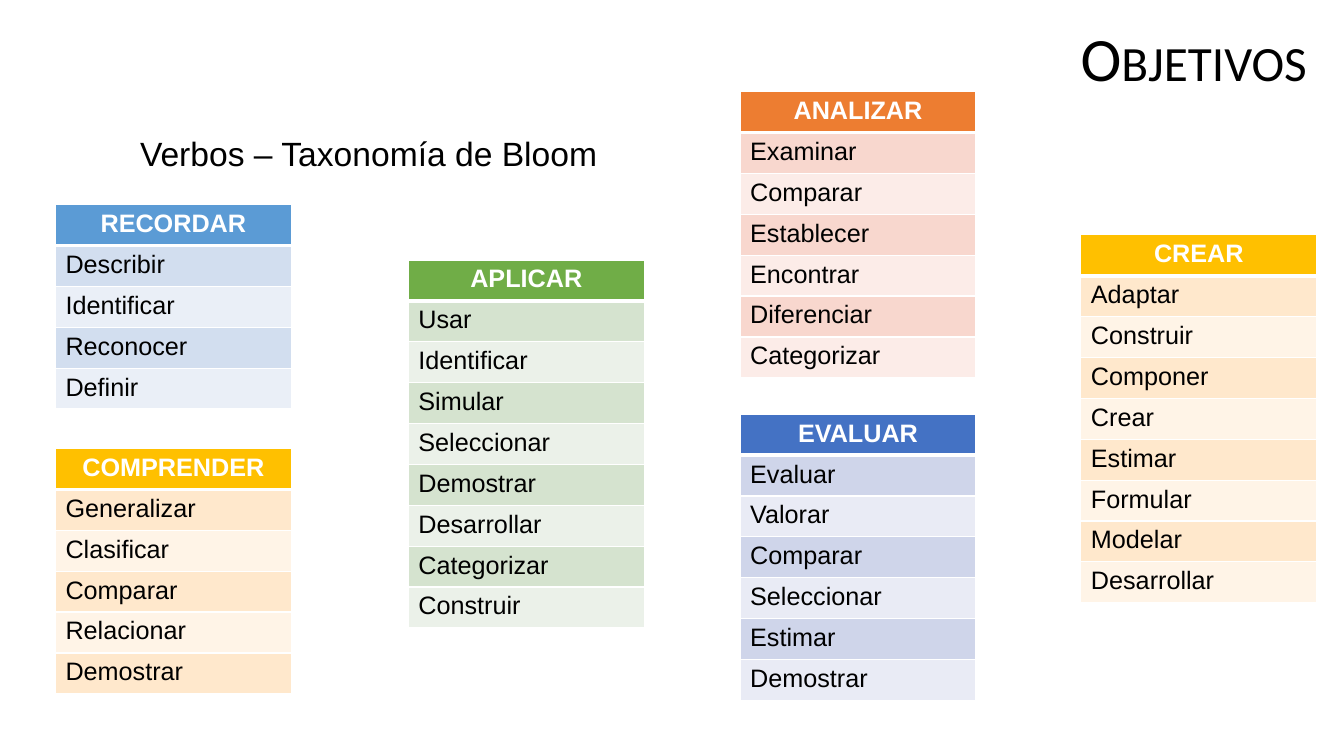
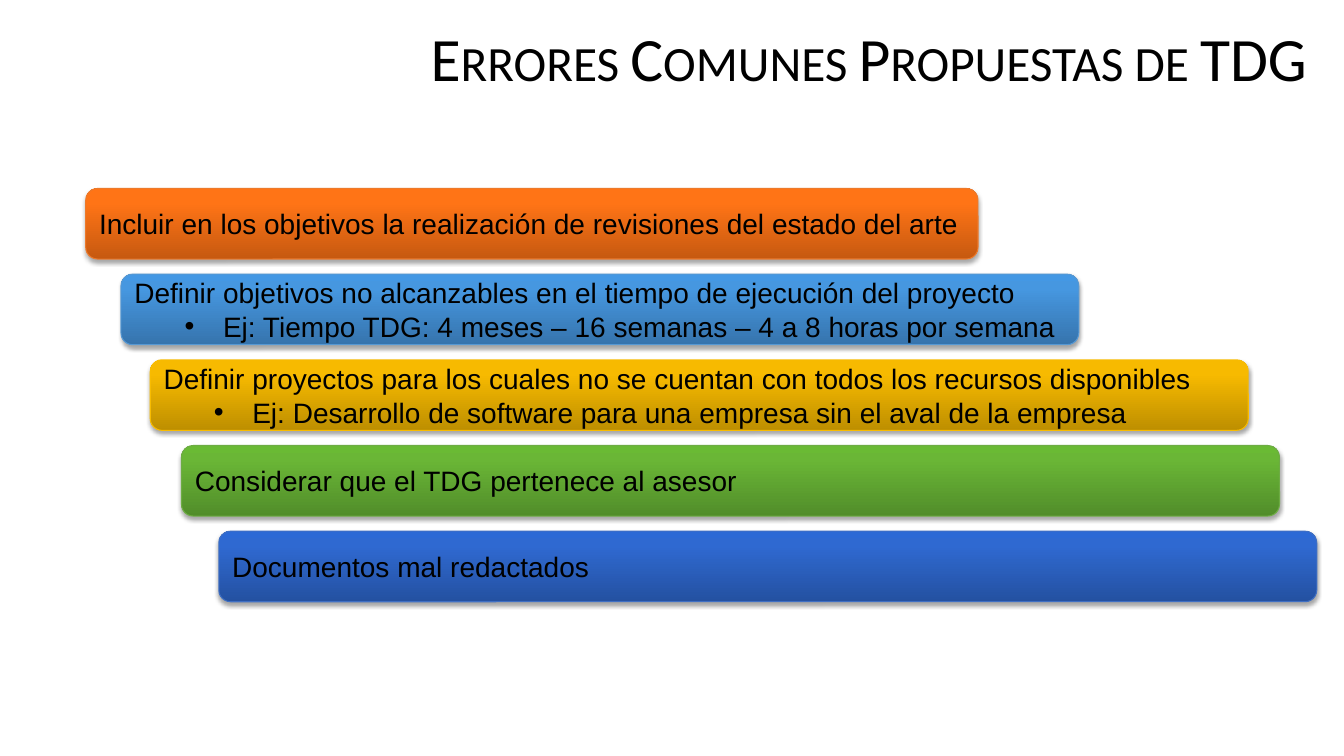
import copy
import dataclasses
import typing

import pptx
import pptx.dml.color
import pptx.enum.shapes
import pptx.enum.text
import pptx.oxml
import pptx.oxml.ns
import pptx.util

Inches = pptx.util.Inches
Align = pptx.enum.text.PP_ALIGN
Anchor = pptx.enum.text.MSO_ANCHOR


class Box(typing.NamedTuple):
    """Left, top, width and height in inches."""

    left: float
    top: float
    width: float
    height: float

    def lengths(self):
        """Return the four measures as slide lengths."""
        return [Inches(value) for value in self]


class TableColors(typing.NamedTuple):
    """Header fill and the two alternating row fills."""

    header: str
    dark_band: str
    light_band: str


class BarColors(typing.NamedTuple):
    """Gradient from bottom to top, and outline."""

    bottom: str
    middle: str
    top: str
    outline: str


@dataclasses.dataclass(frozen=True)
class Theme:
    """Colours, fonts and type sizes of the presentation."""

    text: str = "000000"
    inverse: str = "FFFFFF"
    title_font: str = "Calibri"
    body_font: str = "Arial"
    title_size: int = 44
    subtitle_size: int = 24
    bar_size: int = 20
    table_size: int = 18
    blue_table: TableColors = TableColors("5B9BD5", "D2DEEF", "EAEFF7")
    gold_table: TableColors = TableColors("FFC000", "FFE8CC", "FFF4E7")
    green_table: TableColors = TableColors("70AD47", "D5E3CF", "EBF1E9")
    orange_table: TableColors = TableColors("ED7D31", "F8D7CE", "FCECE8")
    indigo_table: TableColors = TableColors("4472C4", "CFD5EA", "E9EBF5")
    orange_bar: BarColors = BarColors("C65910", "FF7416", "FF7517", "EC792B")
    blue_bar: BarColors = BarColors("3674AD", "4697E0", "4498E4", "5698D3")
    gold_bar: BarColors = BarColors("BE8F00", "F7BA00", "F8BB00", "F9BC00")
    green_bar: BarColors = BarColors("518D2A", "6AB636", "6ABA34", "6DAC43")
    indigo_bar: BarColors = BarColors("2451A1", "2F69D1", "2C69D5", "3F6FC3")


THEME = Theme()
TITLE_BOX = Box(3.14, 0.23, 9.92, 1.03)
SUBTITLE_BOX = Box(1.29, 1.27, 11.29, 0.5)
TABLE_WIDTH = 2.34
ROW_HEIGHT = 3.65 / 9
STAIRCASE_BOX = Box(0.85, 1.87, 12.21, 4.1)
BAR_HEIGHT = 0.7

VERB_TABLES = [
    (0.55, 2.03, THEME.blue_table, "RECORDAR",
     ["Describir", "Identificar", "Reconocer", "Definir"]),
    (0.55, 4.45, THEME.gold_table, "COMPRENDER",
     ["Generalizar", "Clasificar", "Comparar", "Relacionar", "Demostrar"]),
    (4.05, 2.58, THEME.green_table, "APLICAR",
     ["Usar", "Identificar", "Simular", "Seleccionar", "Demostrar",
      "Desarrollar", "Categorizar", "Construir"]),
    (7.34, 0.91, THEME.orange_table, "ANALIZAR",
     ["Examinar", "Comparar", "Establecer", "Encontrar", "Diferenciar",
      "Categorizar"]),
    (7.34, 4.11, THEME.indigo_table, "EVALUAR",
     ["Evaluar", "Valorar", "Comparar", "Seleccionar", "Estimar", "Demostrar"]),
    (10.72, 2.33, THEME.gold_table, "CREAR",
     ["Adaptar", "Construir", "Componer", "Crear", "Estimar", "Formular",
      "Modelar", "Desarrollar"]),
]

ERROR_BARS = [
    (0, 8.85, THEME.orange_bar,
     ["Incluir en los objetivos la realización de revisiones del estado del arte"]),
    (0.35, 9.5, THEME.blue_bar,
     ["Definir objetivos no alcanzables en el tiempo de ejecución del proyecto",
      "Ej: Tiempo TDG: 4 meses – 16 semanas – 4 a 8 horas por semana"]),
    (0.64, 10.89, THEME.gold_bar,
     ["Definir proyectos para los cuales no se cuentan con todos los recursos disponibles",
      "Ej: Desarrollo de software para una empresa sin el aval de la empresa"]),
    (0.95, 10.89, THEME.green_bar, ["Considerar que el TDG pertenece al asesor"]),
    (1.32, 10.89, THEME.indigo_bar, ["Documentos mal redactados"]),
]


def rgb(value):
    """Turn a hexadecimal string into a colour."""
    return pptx.dml.color.RGBColor.from_string(value)


def xml(markup):
    """Parse one drawing element written with the a: prefix."""
    namespace = pptx.oxml.ns.nsdecls("a")
    return pptx.oxml.parse_xml(markup.replace(" ", f" {namespace} ", 1))


def write_text(paragraph, text, size, font=THEME.body_font, color=THEME.text,
               bold=False, align=Align.LEFT, small_caps=False, bullet=False):
    """Write one formatted run into a paragraph."""
    paragraph.alignment = align
    run = paragraph.add_run()
    run.text = text
    run.font.size = pptx.util.Pt(size)
    run.font.name = font
    run.font.bold = bold
    run.font.color.rgb = rgb(color)
    if small_caps:
        run.font._element.set("cap", "small")
    if bullet:
        paragraph.level = 1
        properties = paragraph._p.get_or_add_pPr()
        properties.set("marL", str(Inches(0.88)))
        properties.set("indent", str(Inches(-0.38)))
        properties.append(xml('<a:buFont typeface="Arial"/>'))
        properties.append(xml('<a:buChar char="•"/>'))


def add_text_box(slide, box, text, **text_format):
    """Add a wrapping text box and return its paragraph."""
    frame = slide.shapes.add_textbox(*box.lengths()).text_frame
    frame.word_wrap = True
    write_text(frame.paragraphs[0], text, **text_format)
    return frame.paragraphs[0]


def add_title(slide, text):
    """Add the shared right-aligned title in small capitals."""
    paragraph = add_text_box(slide, TITLE_BOX, text, size=THEME.title_size,
                             font=THEME.title_font, align=Align.RIGHT,
                             small_caps=True)
    paragraph.line_spacing = 0.9


def set_borders(cell, top, bottom):
    """Draw white borders round a cell with the given widths in points."""
    properties = cell._tc.get_or_add_tcPr()
    for side, points in (("L", 1), ("R", 1), ("T", top), ("B", bottom)):
        properties.append(xml(
            f'<a:ln{side} w="{pptx.util.Pt(points)}"><a:solidFill>'
            f'<a:srgbClr val="{THEME.inverse}"/></a:solidFill></a:ln{side}>'))


def add_verb_table(slide, left, top, colors, heading, verbs):
    """Add a one-column table of verbs below a coloured heading."""
    rows = [heading, *verbs]
    box = Box(left, top, TABLE_WIDTH, ROW_HEIGHT * len(rows))
    table = slide.shapes.add_table(len(rows), 1, *box.lengths()).table
    table.first_row = table.horz_banding = False
    for index, text in enumerate(rows):
        cell = table.cell(index, 0)
        is_heading = index == 0
        set_borders(cell, top=3 if index == 1 else 1, bottom=3 if is_heading else 1)
        band = colors.dark_band if index % 2 else colors.light_band
        cell.fill.solid()
        cell.fill.fore_color.rgb = rgb(colors.header if is_heading else band)
        write_text(cell.text_frame.paragraphs[0], text, size=THEME.table_size,
                   color=THEME.inverse if is_heading else THEME.text,
                   bold=is_heading, align=Align.CENTER if is_heading else Align.LEFT)


def fill_gradient(shape, colors):
    """Fill a shape with a vertical gradient of three stops."""
    shape.fill.gradient()
    shape.fill.gradient_angle = 90
    stops = shape._element.spPr.find(".//" + pptx.oxml.ns.qn("a:gsLst"))
    stops.append(copy.deepcopy(stops[-1]))
    for stop, position, color in zip(shape.fill.gradient_stops, (0, 0.8, 1), colors):
        stop.position = position
        stop.color.rgb = rgb(color)


def add_shadow(shape):
    """Give a shape a soft shadow below it."""
    shape.shadow.inherit = False
    effects = shape._element.spPr.find(pptx.oxml.ns.qn("a:effectLst"))
    effects.append(xml(
        f'<a:outerShdw blurRad="{pptx.util.Pt(3.1)}" dist="{pptx.util.Pt(1.8)}" '
        f'dir="5400000" rotWithShape="0"><a:srgbClr val="{THEME.text}">'
        '<a:alpha val="35000"/></a:srgbClr></a:outerShdw>'))


def add_bar(slide, box, colors, lines):
    """Add a rounded bar with a statement and optional bulleted example."""
    shape = slide.shapes.add_shape(
        pptx.enum.shapes.MSO_SHAPE.ROUNDED_RECTANGLE, *box.lengths())
    fill_gradient(shape, colors)
    shape.line.color.rgb = rgb(colors.outline)
    shape.line.width = pptx.util.Pt(0.75)
    add_shadow(shape)
    frame = shape.text_frame
    frame.word_wrap = True
    frame.vertical_anchor = Anchor.MIDDLE
    for index, text in enumerate(lines):
        paragraph = frame.add_paragraph() if index else frame.paragraphs[0]
        write_text(paragraph, text, size=THEME.bar_size, bullet=index > 0)


def add_staircase(slide, box, bars):
    """Spread indented bars evenly down a box."""
    step = (box.height - BAR_HEIGHT) / (len(bars) - 1)
    for index, (indent, width, colors, lines) in enumerate(bars):
        bar_box = Box(box.left + indent, box.top + index * step, width, BAR_HEIGHT)
        add_bar(slide, bar_box, colors, lines)


def add_slide(presentation, title):
    """Add a blank slide with the shared title."""
    slide = presentation.slides.add_slide(presentation.slide_layouts[6])
    add_title(slide, title)
    return slide


def add_objectives_slide(presentation):
    """Add the slide of verb tables."""
    slide = add_slide(presentation, "Objetivos")
    add_text_box(slide, SUBTITLE_BOX, "Verbos – Taxonomía de Bloom",
                 size=THEME.subtitle_size)
    for verb_table in VERB_TABLES:
        add_verb_table(slide, *verb_table)


def add_errors_slide(presentation):
    """Add the slide of common errors."""
    slide = add_slide(presentation, "Errores Comunes Propuestas de TDG")
    add_staircase(slide, STAIRCASE_BOX, ERROR_BARS)


def main():
    """Build and save the presentation."""
    presentation = pptx.Presentation()
    presentation.slide_width = Inches(13.33)
    presentation.slide_height = Inches(7.5)
    add_objectives_slide(presentation)
    add_errors_slide(presentation)
    presentation.save("out.pptx")


if __name__ == "__main__":
    main()
